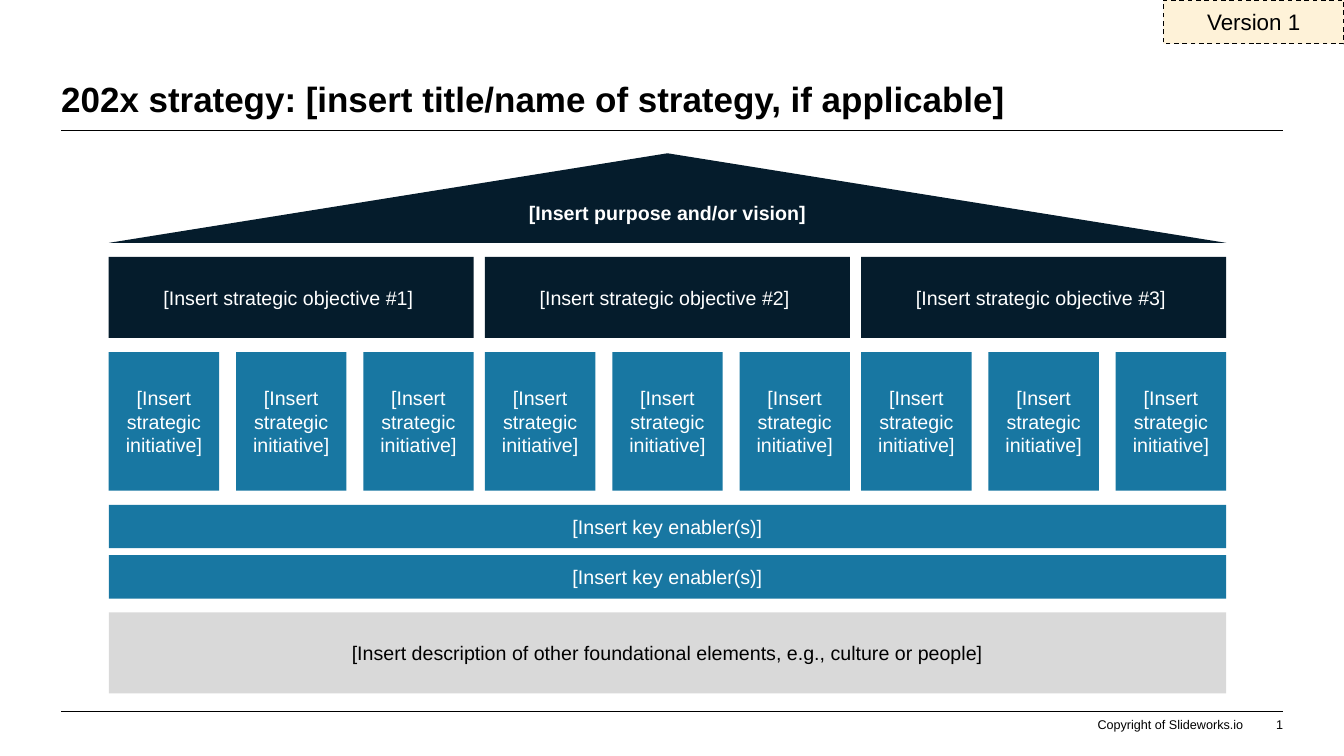
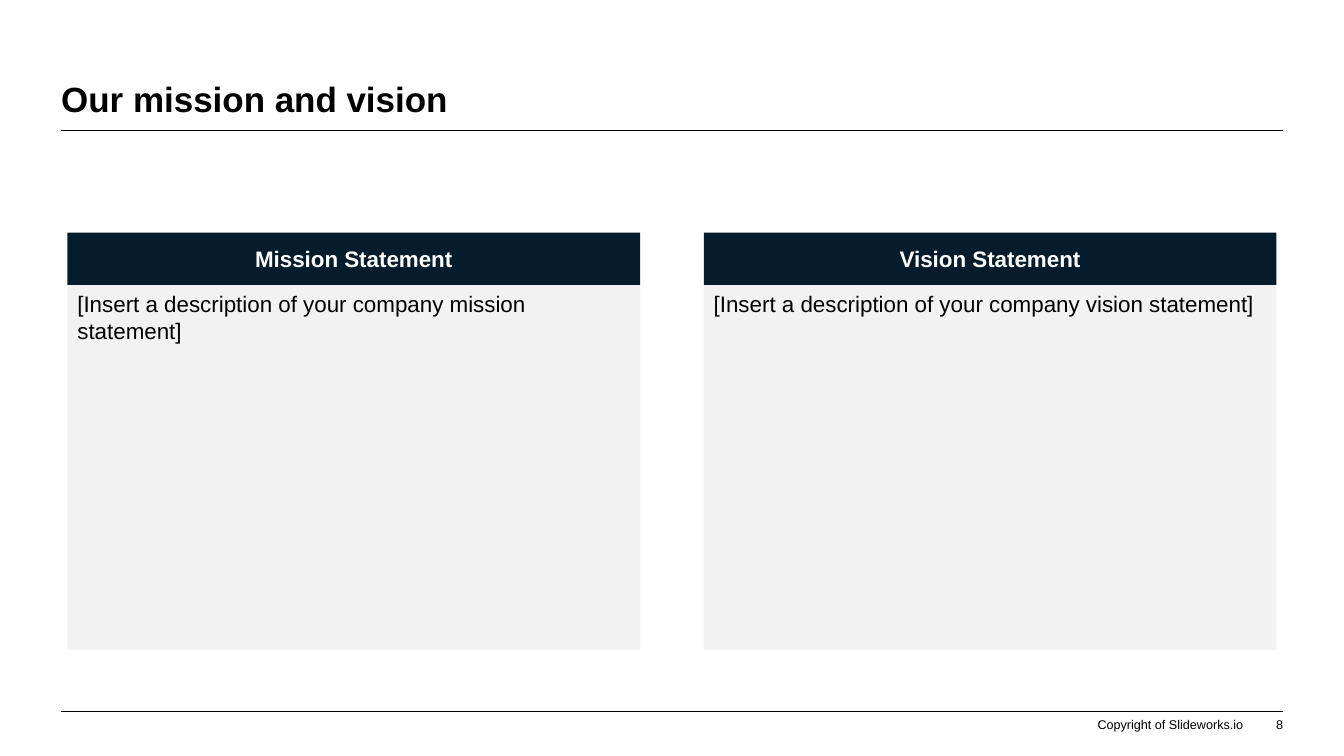
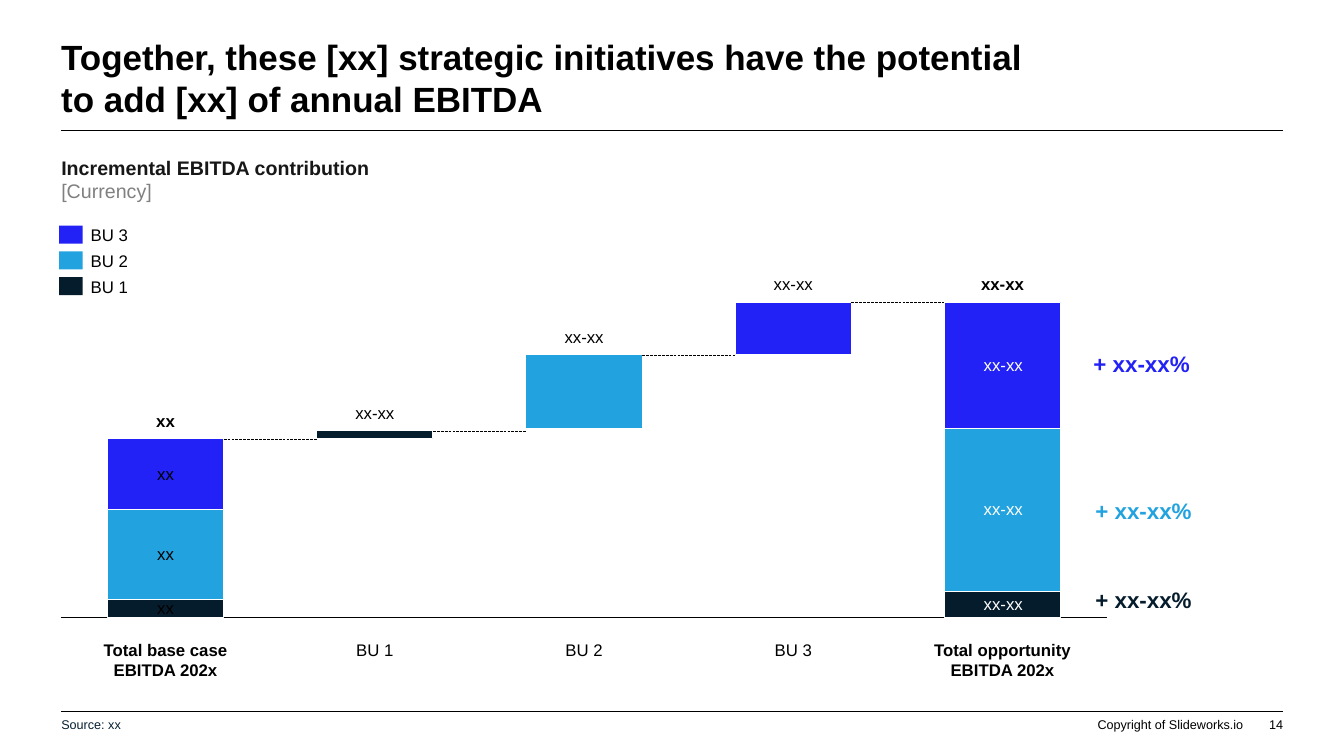
from lxml import etree
from pptx import Presentation
from pptx.chart.data import CategoryChartData
from pptx.dml.color import RGBColor
from pptx.enum.chart import XL_CHART_TYPE as ChartType, XL_LABEL_POSITION as LabelPos
from pptx.enum.chart import XL_TICK_LABEL_POSITION as TickLabels, XL_TICK_MARK as Tick
from pptx.enum.dml import MSO_LINE as Dash
from pptx.enum.shapes import MSO_CONNECTOR as Connector, MSO_SHAPE as Shape
from pptx.enum.text import MSO_ANCHOR as Anchor, MSO_AUTO_SIZE as AutoSize, PP_ALIGN as Align
from pptx.oxml import parse_xml
from pptx.oxml.ns import qn, nsdecls
from pptx.util import Pt

FONT = "Arial"
COLORS = {
    "black": "000000", "white": "FFFFFF", "navy": "051C2C", "teal": "1877A2",
    "sky": "22A3DF", "blue": "2222F6", "silver": "D9D9D9", "pale": "F2F2F2",
    "cream": "FEF2D8", "ink": "181717", "gray": "808080", "source": "062032",
}

# Page frame shared by all slides
LEFT, WIDTH = 43.7, 872.9
RIGHT = LEFT + WIDTH
TITLE_RULE, FOOTER_RULE = 93, 508.3
NO_INSETS = (0, 0, 0, 0)
INSETS = (7.2, 3.6, 7.2, 3.6)

# Waterfall geometry
CHART_LEFT, CHART_TOP, CHART_WIDTH, CHART_HEIGHT = 36.7, 125.7, 761, 319
PLOT = {"x": 0.009, "y": 0, "w": 0.982, "h": 0.989}
AXIS_MAX, GAP_WIDTH = 168, 80
STEP = CHART_WIDTH * PLOT["w"] / 5
BAR = STEP / (1 + GAP_WIDTH / 100)


def rgb(name):
    return RGBColor.from_string(COLORS[name])


def style_font(font, color="black", **values):
    for key, value in {"name": FONT, "size": Pt(12), "bold": False, **values}.items():
        setattr(font, key, value)
    font.color.rgb = rgb(color)


def write(frame, text, size=12, color="black", bold=False, align=Align.LEFT,
          anchor=Anchor.TOP, insets=INSETS):
    layout = {"word_wrap": True, "auto_size": AutoSize.NONE, "vertical_anchor": anchor}
    layout.update(zip(("margin_left", "margin_top", "margin_right", "margin_bottom"),
                      map(Pt, insets)))
    for key, value in layout.items():
        setattr(frame, key, value)
    paragraph = frame.paragraphs[0]
    paragraph.text = text
    paragraph.alignment = align
    for run in paragraph.runs:
        style_font(run.font, color, size=Pt(size), bold=bold)


def add_label(slide, text, left, top, width, height, **style):
    label = slide.shapes.add_textbox(Pt(left), Pt(top), Pt(width), Pt(height))
    write(label.text_frame, text, **{"insets": NO_INSETS, **style})
    return label


def add_block(slide, left, top, width, height, fill, text="", kind=Shape.RECTANGLE, **style):
    block = slide.shapes.add_shape(kind, Pt(left), Pt(top), Pt(width), Pt(height))
    block.shadow.inherit = False
    block.fill.solid()
    block.fill.fore_color.rgb = rgb(fill)
    block.line.fill.background()
    if text:
        write(block.text_frame, text, **{"size": 14, "color": "white", "align": Align.CENTER,
                                         "anchor": Anchor.MIDDLE, **style})
    return block


def add_rule(slide, left, right, y, weight=0.5, dash=None):
    rule = slide.shapes.add_connector(Connector.STRAIGHT, Pt(left), Pt(y), Pt(right), Pt(y))
    rule.line.color.rgb = rgb("black")
    rule.line.width = Pt(weight)
    if dash:
        rule.line.dash_style = dash
    etree.SubElement(rule.element.spPr, qn("a:effectLst"))


def add_page(deck, title, number):
    slide = deck.slides.add_slide(deck.slide_layouts[5])
    heading = slide.shapes.title
    for key, value in {"left": LEFT, "top": 28, "width": WIDTH, "height": 57.6}.items():
        setattr(heading, key, Pt(value))
    heading.fill.solid()
    heading.fill.fore_color.rgb = rgb("white")
    write(heading.text_frame, title, size=25, bold=True, anchor=Anchor.BOTTOM, insets=NO_INSETS)
    for y in (TITLE_RULE, FOOTER_RULE):
        add_rule(slide, LEFT, RIGHT, y)
    for text, left, right in (("Copyright of Slideworks.io", 760, 888), (number, 890, RIGHT)):
        add_label(slide, text, left, 512, right - left, 10.8, size=9,
                  align=Align.RIGHT, anchor=Anchor.BOTTOM)
    return slide


# Strategy house
def add_row(slide, texts, left, top, width, height, gap, fill):
    """Splits a row into equal blocks and returns their left edges and width."""
    block_width = (width - gap * (len(texts) - 1)) / len(texts)
    lefts = [left + i * (block_width + gap) for i in range(len(texts))]
    for text, block_left in zip(texts, lefts):
        add_block(slide, block_left, top, block_width, height, fill, text)
    return lefts, block_width


def build_house(deck):
    slide = add_page(deck, "202x strategy: [insert title/name of strategy, if applicable]", "1")
    left, width = 77.7, 798.2
    add_block(slide, left, 109.5, width, 64, "navy", "[Insert purpose and/or vision]",
              Shape.ISOSCELES_TRIANGLE, bold=True, insets=(7.2, 3.6, 7.2, 14.4))
    objectives = [f"[Insert strategic objective #{n}] " for n in (1, 2, 3)]
    pillars, pillar_width = add_row(slide, objectives, left, 183.5, width, 58, 8, "navy")
    for pillar in pillars:
        add_row(slide, ["[Insert strategic initiative]"] * 3, pillar, 251.5,
                pillar_width, 99, 12, "teal")
    for top in (360.6, 396.6):
        add_block(slide, left, top, width, 31, "teal", "[Insert key enabler(s)]")
    add_block(slide, left, 437.4, width, 58, "silver",
              "[Insert description of other foundational elements, e.g., culture or people]",
              color="black")
    version = add_block(slide, 831, 0, 129, 31.3, "cream", "Version 1", size=16, color="black")
    version.line.color.rgb = rgb("black")
    version.line.width = Pt(0.85)
    version.line.dash_style = Dash.DASH


# Mission and vision cards
def build_statements(deck):
    slide = add_page(deck, "Our mission and vision", "8")
    width, gap = 409, 45.5
    for i, name in enumerate(("Mission", "Vision")):
        left = 48.2 + i * (width + gap)
        add_block(slide, left, 166.2, width, 37.3, "navy", f"{name} Statement",
                  size=16, bold=True)
        add_block(slide, left, 203.7, width, 260.8, "pale",
                  f"[Insert a description of your company {name.lower()} statement]",
                  size=16, color="black", align=Align.LEFT, anchor=Anchor.TOP)


# EBITDA waterfall
def level(value):
    """Height on the slide of a value on the chart."""
    return CHART_TOP + CHART_HEIGHT * PLOT["h"] * (1 - value / AXIS_MAX)


def column_center(index):
    return CHART_LEFT + CHART_WIDTH * PLOT["x"] + STEP * (index + 0.5)


def paint_bar(part, fill):
    part.format.fill.solid()
    part.format.fill.fore_color.rgb = rgb(fill)
    part.format.line.color.rgb = rgb("white")
    part.format.line.width = Pt(0.75)


def add_waterfall(slide):
    data = CategoryChartData()
    data.categories = ["1", "2", "3", "4", "5"]
    layers = ((7, 68, 72, 100, 10), (34, 3, 28, 20, 62),
              (27, None, None, None, 48), (None,) * 5)
    point_fills = ({0: "navy", 4: "navy"},
                   dict(enumerate(("sky", "navy", "sky", "blue", "sky"))),
                   {0: "blue", 4: "blue"})
    for n, values in enumerate(layers, 1):
        data.add_series(f"Series {n}", values)
    chart = slide.shapes.add_chart(
        ChartType.COLUMN_STACKED, Pt(CHART_LEFT), Pt(CHART_TOP),
        Pt(CHART_WIDTH), Pt(CHART_HEIGHT), data).chart
    chart.has_legend = chart.has_title = False
    style_font(chart.font, size=Pt(10))
    for key, value in {"visible": False, "has_major_gridlines": False,
                       "minimum_scale": 0, "maximum_scale": AXIS_MAX}.items():
        setattr(chart.value_axis, key, value)
    base = chart.category_axis
    for key, value in {"tick_label_position": TickLabels.NONE, "major_tick_mark": Tick.NONE,
                       "minor_tick_mark": Tick.NONE, "has_major_gridlines": False}.items():
        setattr(base, key, value)
    base.format.line.color.rgb = rgb("black")
    base.format.line.width = Pt(0.75)

    plot = chart.plots[0]
    for key, value in {"gap_width": GAP_WIDTH, "overlap": 100,
                       "vary_by_categories": False}.items():
        setattr(plot, key, value)
    for series, fills in zip(plot.series, point_fills):
        series.format.fill.background()
        series.format.line.fill.background()
        for index, fill in fills.items():
            paint_bar(series.points[index], fill)
        label = series.points[0].data_label
        label.text_frame.text = "xx"
        style_font(label.text_frame.paragraphs[0].runs[0].font)
        label.position = LabelPos.CENTER

    # Fixed inner plot area, so that labels can follow the values
    plot_area = chart.element.find(".//" + qn("c:plotArea"))
    for old in plot_area.findall(qn("c:layout")):
        plot_area.remove(old)
    places = "".join(f'<c:{key}Mode val="edge"/>' for key in "xy")
    places += "".join(f'<c:{key} val="{value}"/>' for key, value in PLOT.items())
    plot_area.insert(0, parse_xml(
        f'<c:layout {nsdecls("c")}><c:manualLayout><c:layoutTarget val="inner"/>'
        f'{places}</c:manualLayout></c:layout>'))


def build_waterfall(deck):
    slide = add_page(deck, "Together, these [xx] strategic initiatives have the potential "
                           "\vto add [xx] of annual EBITDA", "14")
    add_waterfall(slide)

    # Chart heading
    heading = add_label(slide, "Incremental EBITDA contribution", 36.7, 107.7, 300, 41,
                        size=14, color="ink", bold=True, insets=INSETS)
    unit = heading.text_frame.add_paragraph().add_run()
    unit.text = "[Currency]"
    style_font(unit.font, "gray", size=Pt(14))

    # Legend
    for i, (name, fill) in enumerate((("BU 3", "blue"), ("BU 2", "sky"), ("BU 1", "navy"))):
        top = 161.2 + i * 18.4
        add_block(slide, 42.3, top, 16.8, 12.8, fill)
        add_label(slide, name, 64.8, top - 0.4, 75, 14.4, anchor=Anchor.MIDDLE)

    # Column names, totals and the steps between columns
    columns = (("Total base case EBITDA 202x", "xx", 68), ("BU 1", "xx-xx", 71),
               ("BU 2", "xx-xx", 100), ("BU 3", "xx-xx", 120),
               ("Total opportunity EBITDA 202x", "xx-xx", 120))
    for i, (name, total, value) in enumerate(columns):
        center, bold = column_center(i), name.startswith("Total")
        style = {"bold": bold, "align": Align.CENTER}
        add_label(slide, name, center - 51, 456.8, 102, 28.8, **style)
        add_label(slide, total, center - 30, level(value) - 20.2, 60, 14.4,
                  anchor=Anchor.BOTTOM, **style)
        if i < len(columns) - 1:
            add_rule(slide, center + BAR / 2, center + STEP - BAR / 2, level(value),
                     0.25, Dash.LONG_DASH)

    # Segments of the last column, with their growth
    for middle, color, growth_left, growth_top in (
            (96, "blue", 774, 246.3), (41, "sky", 775.4, 351.2), (5, "navy", 775.4, 414.8)):
        add_label(slide, "xx-xx", column_center(4) - 29.5, level(middle) - 7.7, 60, 14.4,
                  color="white", align=Align.CENTER, anchor=Anchor.MIDDLE)
        add_label(slide, "+ xx-xx%", growth_left, growth_top, 125, 26.6, size=16,
                  color=color, bold=True, insets=INSETS)

    add_label(slide, "Source: xx", 36.7, 503.3, 575, 28.8, size=9, color="source",
              anchor=Anchor.MIDDLE, insets=INSETS)


def main():
    deck = Presentation()
    deck.slide_width, deck.slide_height = Pt(960), Pt(540)
    for build in (build_house, build_statements, build_waterfall):
        build(deck)
    deck.save("out.pptx")


if __name__ == "__main__":
    main()
